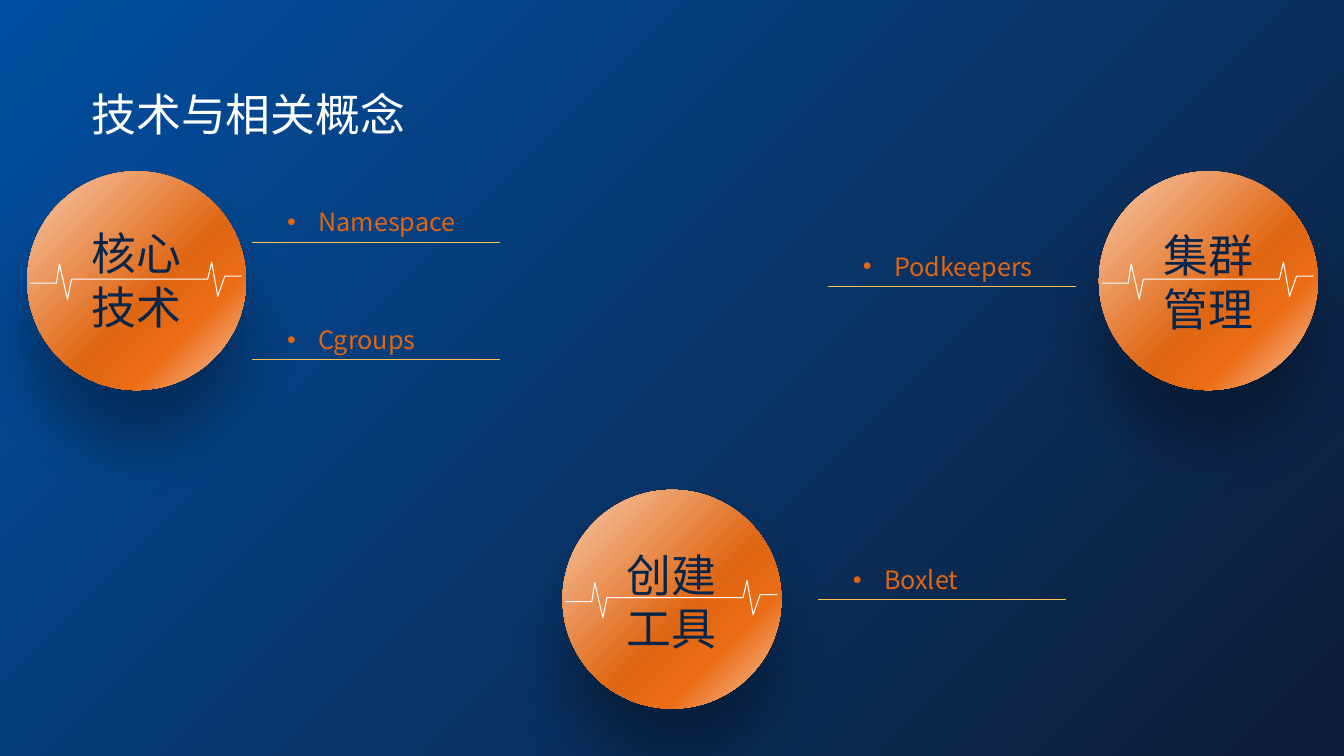
from lxml import etree
from pptx import Presentation
from pptx.dml.color import RGBColor
from pptx.enum.shapes import MSO_CONNECTOR, MSO_SHAPE
from pptx.enum.text import MSO_AUTO_SIZE
from pptx.oxml import parse_xml
from pptx.oxml.ns import nsdecls, qn
from pptx.util import Inches, Pt

OVAL = MSO_SHAPE.OVAL
LINE = MSO_CONNECTOR.STRAIGHT
GROW = MSO_AUTO_SIZE.SHAPE_TO_FIT_TEXT
FONT = "Noto Sans CJK SC"
HUES = {
    "sky": "014FA2", "night": "0E1E38", "white": "FFFFFF", "navy": "06254A",
    "rust": "DF6613", "flame": "EB6C14", "peach": "F8CBAD",
    "gold": "FCC352", "black": "000000",
}
SIZE = 2.17
STOPS = [(0, "peach"), (56, "rust"), (73, "flame"), (100, "peach")]
PULSE = [
    (0.03, 1.11), (0.29, 1.11), (0.32, 0.92), (0.4, 1.27), (0.44, 1.07),
    (1.79, 1.07), (1.83, 0.9), (1.89, 1.24), (1.96, 1.04), (2.13, 1.04),
]
BALLS = [
    (0.27, 1.7, 0.49, ["核心", "技术"]),
    (5.58, 4.86, 0.52, ["创建工具"]),
    (10.9, 1.7, 0.51, ["集群管理"]),
]
ITEMS = [
    (2.5, 2.4, 1.95, "Namespace"),
    (2.5, 3.57, 1.54, "Cgroups"),
    (8.11, 5.95, 1.39, "Boxlet"),
    (8.21, 2.84, 1.95, "Podkeepers"),
]


def color(name):
    return RGBColor.from_string(HUES[name])


def add_text(shapes, box, lines, size, hue, wrap=False):
    frame = shapes.add_textbox(*map(Inches, box)).text_frame
    frame.word_wrap = wrap
    frame.auto_size = GROW
    for i, line in enumerate(lines):
        para = frame.add_paragraph() if i else frame.paragraphs[0]
        run = para.add_run()
        run.text = line
        run.font.size = Pt(size)
        run.font.name = FONT
        run.font.color.rgb = color(hue)
        etree.SubElement(run.font._element, qn("a:ea"), typeface=FONT)
    return frame


def add_glow(shape):
    stops = "".join(
        f'<a:gs pos="{pos * 1000}"><a:srgbClr val="{HUES[hue]}"/></a:gs>'
        for pos, hue in STOPS
    )
    fill = parse_xml(
        f'<a:gradFill {nsdecls("a")} rotWithShape="1"><a:gsLst>{stops}</a:gsLst>'
        '<a:path path="circle"><a:fillToRect r="100000" b="100000"/></a:path>'
        "</a:gradFill>"
    )
    shade = parse_xml(
        f'<a:effectLst {nsdecls("a")}><a:outerShdw blurRad="{Pt(40)}" '
        f'dist="{Pt(38)}" dir="5400000" algn="t" rotWithShape="0">'
        f'<a:srgbClr val="{HUES["black"]}"><a:alpha val="30000"/></a:srgbClr>'
        "</a:outerShdw></a:effectLst>"
    )
    shape.line.fill.background()
    props = shape._element.spPr
    props.find(qn("a:prstGeom")).addnext(fill)
    props.append(shade)


def add_ball(slide, left, top, drop, lines):
    group = slide.shapes.add_group_shape().shapes
    ball = group.add_shape(OVAL, *map(Inches, (left, top, SIZE, SIZE)))
    add_glow(ball)
    dots = [(Inches(left + x), Inches(top + y)) for x, y in PULSE]
    path = group.build_freeform(*dots[0])
    path.add_line_segments(dots[1:], close=False)
    pulse = path.convert_to_shape()
    pulse.shadow.inherit = False
    pulse.fill.background()
    pulse.line.color.rgb = color("white")
    pulse.line.width = Pt(0.75)
    box = (left + 0.54, top + drop, 1.11, 1.18)
    add_text(group, box, lines, 32, "navy", True)


def add_item(slide, left, base, width, word):
    group = slide.shapes.add_group_shape().shapes
    ends = (left + 2.46, base, left, base)
    rule = group.add_connector(LINE, *map(Inches, ends))
    rule.line.color.rgb = color("gold")
    rule.line.width = Pt(0.5)
    etree.SubElement(rule._element.spPr, qn("a:effectLst"))
    box = (left + 0.25, base - 0.4, width, 0.4)
    frame = add_text(group, box, [word], 18, "rust")
    props = frame.paragraphs[0]._p.get_or_add_pPr()
    props.set("marL", str(Inches(0.31)))
    props.set("indent", str(Inches(-0.31)))
    etree.SubElement(props, qn("a:buFont"), typeface="Arial")
    etree.SubElement(props, qn("a:buChar"), char="•")


def add_back(slide):
    fill = slide.background.fill
    fill.gradient()
    fill.gradient_angle = 315
    marks = [(0, "sky"), (0.96, "night")]
    for stop, (pos, hue) in zip(fill.gradient_stops, marks):
        stop.position = pos
        stop.color.rgb = color(hue)


def main():
    deck = Presentation()
    deck.slide_width = Inches(13.33)
    deck.slide_height = Inches(7.5)
    slide = deck.slides.add_slide(deck.slide_layouts[6])
    add_back(slide)
    title = (0.81, 0.81, 3.34, 0.64)
    add_text(slide.shapes, title, ["技术与相关概念"], 32, "white")
    for ball in BALLS:
        add_ball(slide, *ball)
    for item in ITEMS:
        add_item(slide, *item)
    deck.save("out.pptx")


if __name__ == "__main__":
    main()
